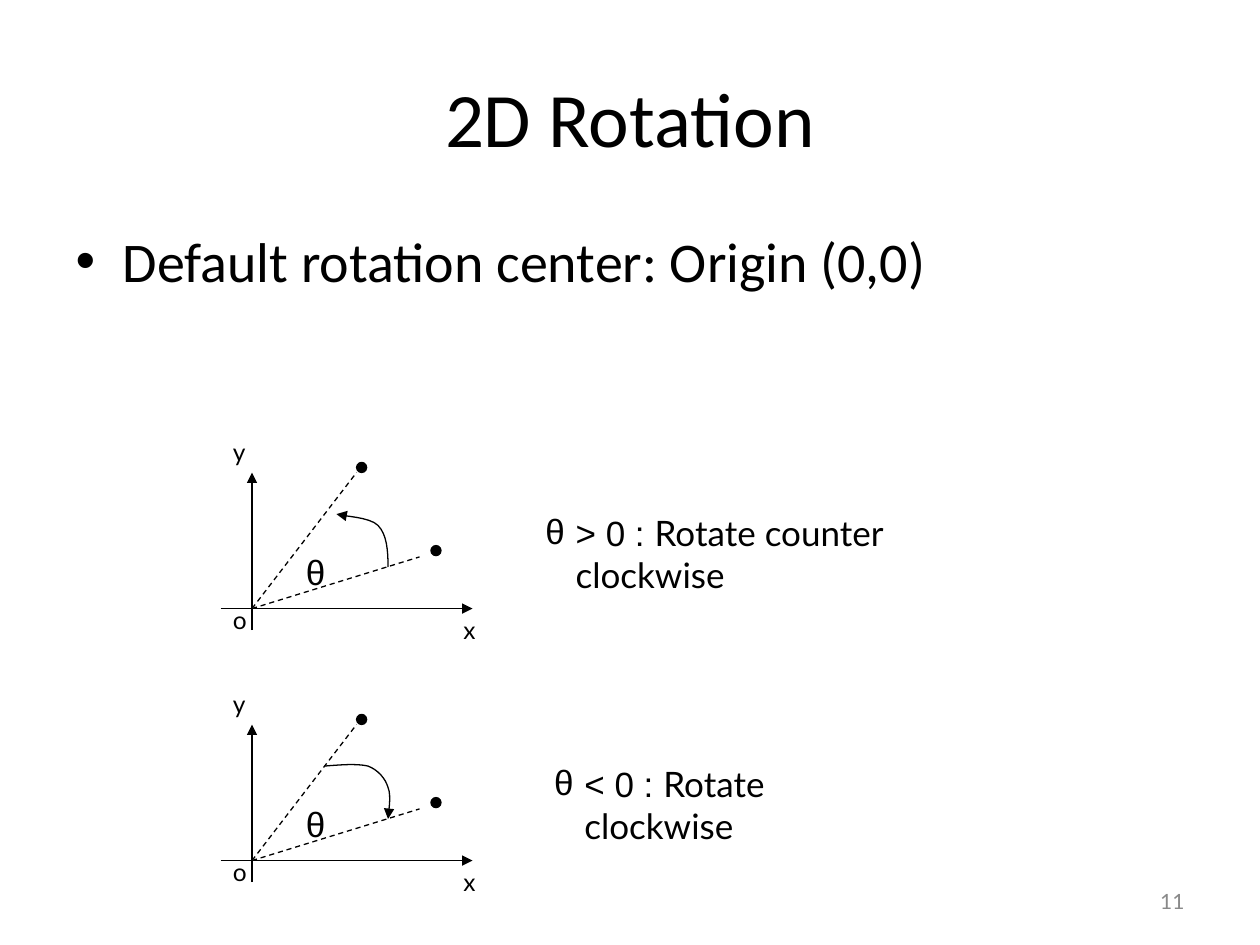
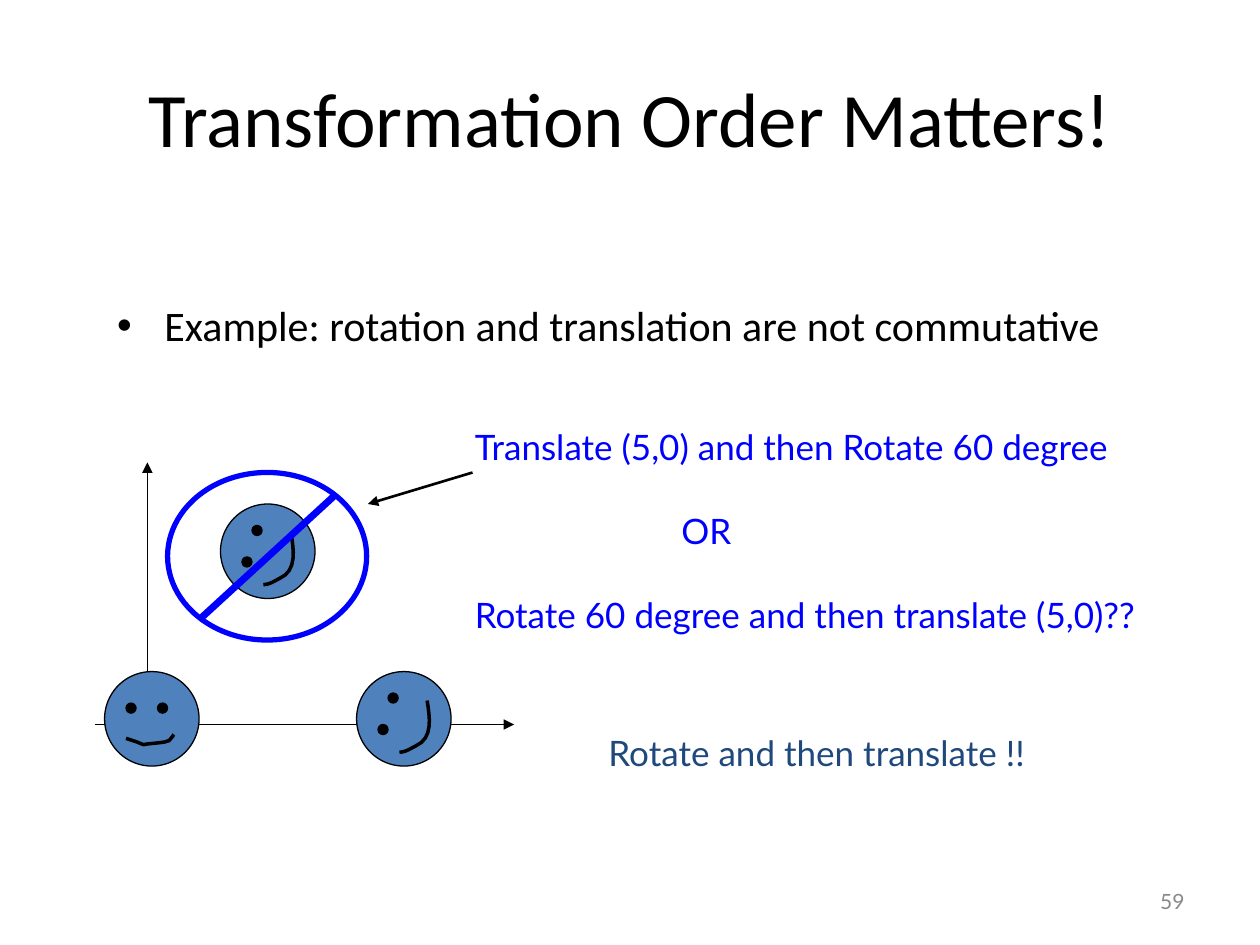
"""Build two slides on 2D rotation and the order of transformations."""
from lxml import etree
from pptx import Presentation
from pptx.dml.color import RGBColor
from pptx.enum import dml, shapes, text
from pptx.oxml.ns import qn
from pptx.util import Inches, Pt

COLORS = {"ink": "000000", "face": "4F81BD", "choice": "0000FF",
          "answer": "1F497D", "number": "898989"}
DOT = 0.08
FACE = 0.75


def outline(shape, color="ink", width=0.75, dashed=False, arrow=False):
    shape.line.color.rgb = RGBColor.from_string(COLORS[color])
    shape.line.width = Pt(width)
    if dashed:
        shape.line.dash_style = dml.MSO_LINE.DASH
    properties = shape._element.spPr
    if arrow:
        etree.SubElement(properties.find(qn("a:ln")), qn("a:tailEnd"), type="triangle")
    etree.SubElement(properties, qn("a:effectLst"))


def write(para, words, size, color="ink", name="Lato"):
    span = para.add_run()
    span.text = words
    for key, value in {"name": name, "size": Pt(size)}.items():
        setattr(span.font, key, value)
    span.font.color.rgb = RGBColor.from_string(COLORS[color])


deck = Presentation()
deck.slide_width, deck.slide_height = Inches(10), Inches(7.5)

rotation = {
    "title": "2D Rotation", "number": "11",
    "point": "Default rotation center: Origin (0,0)",
    "body": (0.5, 1.75, 9, 4.95), "size": 32,
    "lines": [], "ovals": [], "curves": [], "labels": [],
}
order = {
    "title": "Transformation Order Matters!", "number": "59",
    "point": "Example: rotation and translation are not commutative",
    "body": (0.83, 2.33, 8.5, 4.5), "size": 24,
    "lines": [((0.75, 5.75), (4.08, 5.75), {"arrow": True}),
              ((1.17, 6.08), (1.17, 3.67), {"arrow": True}),
              ((3.75, 3.75), (2.92, 4), {"width": 1.5, "arrow": True})],
    "ovals": [], "curves": [],
    "labels": [("Rotate and then translate !!", (4.73, 5.76, 3.69, 0.43), 20, "answer", "Lato")],
}

counter_clockwise = [(3.08, 4.5), (3.08, 4.37), (3.07, 4.24), (3, 4.17),
                     (2.93, 4.1), (2.72, 4.1), (2.67, 4.08)]
clockwise = [(2.58, 4.08), (2.71, 4.07), (2.83, 4.06), (2.92, 4.08), (3, 4.11),
             (3.06, 4.18), (3.08, 4.25), (3.11, 4.32), (3.08, 4.46), (3.08, 4.5)]
for drop, turn in ((0, counter_clockwise), (2, clockwise)):
    origin = (2, 4.83 + drop)
    rotation["lines"] += [
        ((2, 5 + drop), (2, 3.75 + drop), {"arrow": True}),
        ((1.75, 4.83 + drop), (3.75, 4.83 + drop), {"arrow": True}),
        (origin, (3.33, 4.42 + drop), {"dashed": True}),
        (origin, (2.83, 3.75 + drop), {"dashed": True})]
    rotation["ovals"] += [(x, y + drop, DOT, DOT, "ink", "ink", 0.75)
                          for x, y in ((3.42, 4.33), (2.83, 3.67))]
    rotation["curves"].append(([(x, y + drop) for x, y in turn], {"arrow": True}))
    rotation["labels"].append(("θ", (2.33, 4.32 + drop, 0.35, 0.43), 20, "ink", "Arial"))
    rotation["labels"] += [(letter, (x, y + drop, 0.33, 0.33), 14, "ink", "Lato")
                           for letter, x, y in (("x", 3.58, 4.83), ("y", 1.75, 3.42),
                                                ("o", 1.75, 4.75))]

upright = ([(0.17, 0.25), (0.42, 0.25)],
           [(0.17, 0.53), (0.2, 0.54), (0.23, 0.55), (0.26, 0.56), (0.28, 0.57),
            (0.31, 0.58), (0.31, 0.58), (0.36, 0.57), (0.41, 0.57), (0.47, 0.56),
            (0.48, 0.56), (0.5, 0.55), (0.51, 0.55), (0.53, 0.53), (0.55, 0.5), (0.55, 0.5)])
tilted = ([(0.17, 0.42), (0.25, 0.17)],
          [(0.56, 0.23), (0.58, 0.36), (0.61, 0.53), (0.47, 0.59),
           (0.43, 0.61), (0.39, 0.64), (0.34, 0.64)])
for left, top, (eyes, smile) in ((0.83, 5.33, upright), (2.83, 5.33, tilted), (1.75, 4, tilted)):
    order["ovals"].append((left, top, FACE, FACE, "face", "ink", 0.75))
    order["ovals"] += [(left + x, top + y, DOT, DOT, "ink", "ink", 0.75) for x, y in eyes]
    order["curves"].append(([(left + x, top + y) for x, y in smile], {"width": 2}))
order["ovals"].append((1.33, 3.75, 1.58, 1.33, None, "choice", 3))

pages = []
for content in (rotation, order):
    page = deck.slides.add_slide(deck.slide_layouts[1])
    pages.append(page)
    title, body = page.placeholders
    for box, place, words, size in (
            (title, (0.5, 0.3, 9, 1.25), content["title"], 44),
            (body, content["body"], content["point"], content["size"])):
        box.left, box.top, box.width, box.height = map(Inches, place)
        write(box.text_frame.paragraphs[0], words, size, name="Calibri")

    for start, end, look in content["lines"]:
        line = page.shapes.add_connector(shapes.MSO_CONNECTOR.STRAIGHT,
                                         *map(Inches, start + end))
        outline(line, **look)

    for *place, fill, edge, width in content["ovals"]:
        oval = page.shapes.add_shape(shapes.MSO_SHAPE.OVAL, *map(Inches, place))
        if fill:
            oval.fill.solid()
            oval.fill.fore_color.rgb = RGBColor.from_string(COLORS[fill])
        else:
            oval.fill.background()
        outline(oval, edge, width)

    for knots, look in content["curves"]:
        points = []
        for first in range(0, len(knots) - 1, 3):
            for step in range(1, 9):
                t = step / 8
                weights = ((1 - t) ** 3, 3 * t * (1 - t) ** 2, 3 * t * t * (1 - t), t ** 3)
                points.append(tuple(
                    Inches(sum(w * knot[axis] for w, knot in zip(weights, knots[first:first + 4])))
                    for axis in (0, 1)))
        builder = page.shapes.build_freeform(*map(Inches, knots[0]))
        builder.add_line_segments(points, close=False)
        curve = builder.convert_to_shape()
        curve.fill.background()
        outline(curve, **look)

    for words, place, size, color, name in content["labels"]:
        box = page.shapes.add_textbox(*map(Inches, place))
        box.text_frame.word_wrap = True
        write(box.text_frame.paragraphs[0], words, size, color, name)

    box = page.shapes.add_textbox(*map(Inches, (7.17, 6.95, 2.33, 0.4)))
    box.text_frame.vertical_anchor = text.MSO_ANCHOR.MIDDLE
    box.text_frame.word_wrap = True
    para = box.text_frame.paragraphs[0]
    para.alignment = text.PP_ALIGN.RIGHT
    write(para, content["number"], 12, "number")

for sign, direction, place in (("> 0 : ", "Rotate counter clockwise", (4.23, 4.01, 4.12, 0.43)),
                               ("< 0 : ", "Rotate clockwise", (4.3, 6, 3.1, 0.43))):
    box = pages[0].shapes.add_textbox(*map(Inches, place))
    box.text_frame.word_wrap = True
    box.text_frame.margin_right = Inches(0.5)
    para = box.text_frame.paragraphs[0]
    properties = para._p.get_or_add_pPr()
    properties.set("marL", str(Inches(0.24)))
    properties.set("indent", str(-Inches(0.24)))
    etree.SubElement(properties, qn("a:buFont"), typeface="Arial")
    etree.SubElement(properties, qn("a:buChar"), char="θ")
    write(para, sign, 20, name="Arial")
    write(para, direction, 20)

slash = pages[1].shapes.add_connector(shapes.MSO_CONNECTOR.STRAIGHT,
                                      *map(Inches, (2.67, 3.92, 1.58, 4.92)))
outline(slash, "choice", 4)

box = pages[1].shapes.add_textbox(*map(Inches, (3.67, 3.33, 5.6, 1.77)))
box.text_frame.word_wrap = True
choices = (("Translate (5,0) and then Rotate 60 degree", 0), ("OR", 1.64),
           ("Rotate 60 degree and then translate (5,0)??", 0))
for index, (words, indent) in enumerate(choices):
    para = box.text_frame.add_paragraph() if index else box.text_frame.paragraphs[0]
    para._p.get_or_add_pPr().set("marL", str(Inches(indent)))
    if index:
        para.space_before = Pt(24)
    write(para, words, 20, "choice")

deck.save("out.pptx")
